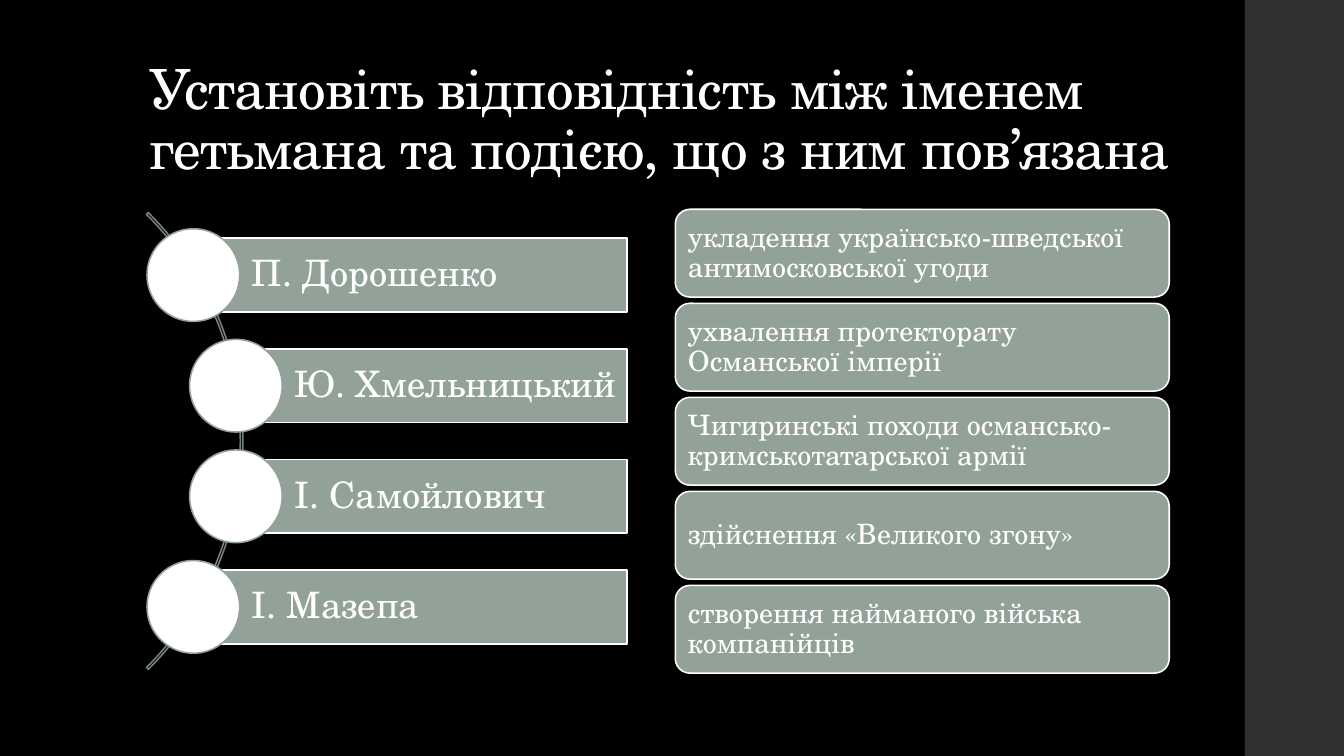
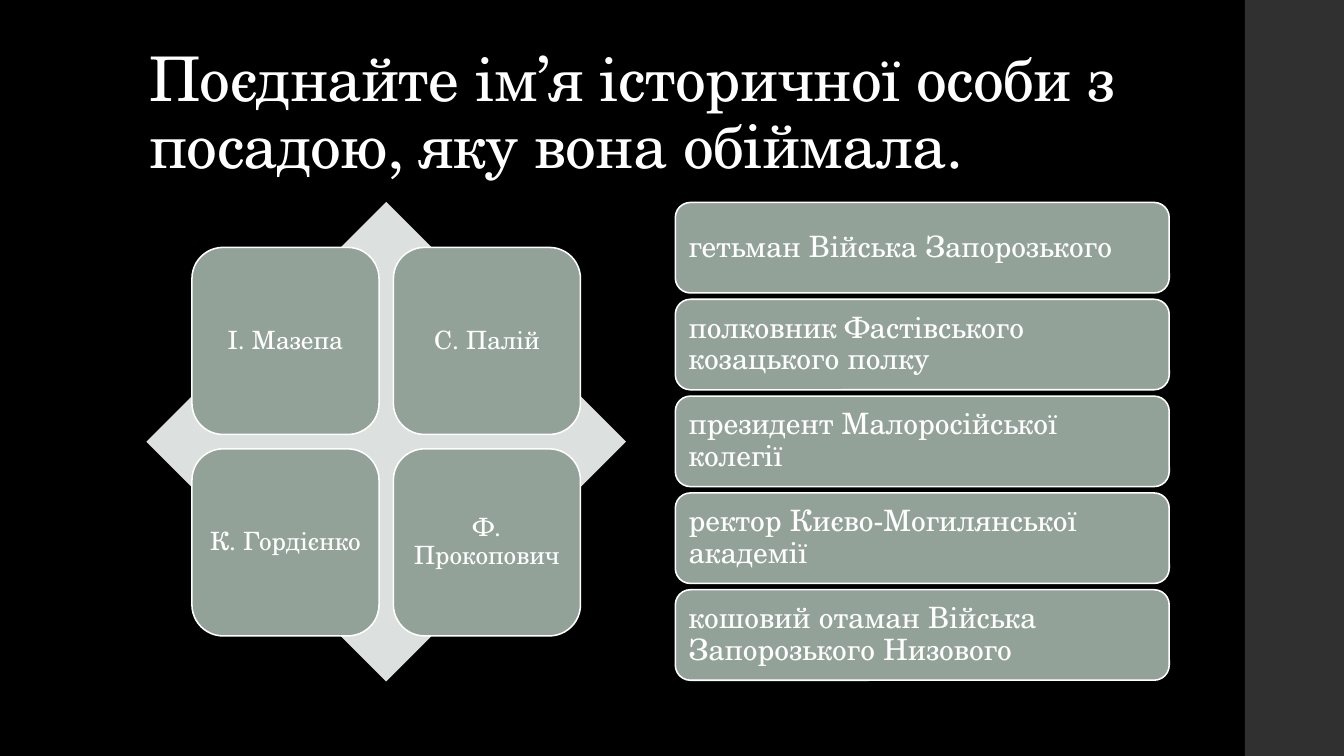
from dataclasses import dataclass
from typing import NamedTuple

from pptx import Presentation
from pptx.dml.color import RGBColor
from pptx.enum.shapes import MSO_SHAPE
from pptx.enum.text import MSO_ANCHOR, MSO_AUTO_SIZE, PP_ALIGN
from pptx.util import Pt


class Box(NamedTuple):
    """A rectangle in points."""
    left: float
    top: float
    width: float
    height: float


@dataclass(frozen=True)
class Theme:
    """Colours, type and line sizes shared by the slides."""
    background: str = "000000"
    band: str = "303030"
    card: str = "93A299"
    arc: str = "76827B"
    diamond: str = "DCE0DE"
    light: str = "FFFFFF"
    font: str = "TeX Gyre Schola"
    outline: float = 1.1
    name_size: float = 26
    tile_size: float = 18
    line_spacing: float = 0.9
    title_tracking: int = -50


THEME = Theme()
SLIDE = Box(0, 0, 960, 540)
TITLE = Box(99.4, 28.8, 763.2, 104.4)
BAND = Box(889.2, 0, 70.8, 540)


def apply(target, formats):
    """Set every attribute listed in a dict of format values."""
    for attribute, value in formats.items():
        setattr(target, attribute, value)


def place(target, box):
    """Move and size an object to a box in points."""
    apply(target, {side: Pt(value) for side, value in box._asdict().items()})


def colour(code):
    """Turn a hex code into a colour."""
    return RGBColor.from_string(code)


def draw(slide, preset, box, fill=None, outline=None):
    """Draw a flat preset shape."""
    shape = slide.shapes.add_shape(preset, *map(Pt, box))
    shape.shadow.inherit = False
    if fill:
        shape.fill.solid()
        shape.fill.fore_color.rgb = colour(fill)
    else:
        shape.fill.background()
    if outline:
        shape.line.color.rgb = colour(outline)
        shape.line.width = Pt(THEME.outline)
    else:
        shape.line.fill.background()
    return shape


def write(shape, text, size, align=PP_ALIGN.LEFT, anchor=MSO_ANCHOR.MIDDLE, insets=None):
    """Write one formatted paragraph into a shape and return its run."""
    frame = shape.text_frame
    margins = {f"margin_{side}": Pt(value) for side, value in (insets or {}).items()}
    apply(frame, {"word_wrap": True, "auto_size": MSO_AUTO_SIZE.NONE,
                  "vertical_anchor": anchor, **margins})
    paragraph = frame.paragraphs[0]
    apply(paragraph, {"alignment": align, "line_spacing": THEME.line_spacing})
    run = paragraph.add_run()
    run.text = text
    apply(run.font, {"name": THEME.font, "size": Pt(size)})
    run.font.color.rgb = colour(THEME.light)
    return run


def even_insets(value):
    """Give all four sides the same inset."""
    return dict.fromkeys(("left", "top", "right", "bottom"), value)


def prepare_master(presentation, slide):
    """Put the background and the side band on the slide master."""
    master = presentation.slide_master
    master.background.fill.solid()
    master.background.fill.fore_color.rgb = colour(THEME.background)
    band = draw(slide, MSO_SHAPE.RECTANGLE, BAND, THEME.band).element
    band.nvSpPr.cNvPr.set("id", "100")
    master.element.cSld.spTree.insert(2, band)


def add_title(slide, text, size):
    """Fill the title placeholder."""
    title = slide.shapes.title
    place(title, TITLE)
    run = write(title, text, size, anchor=MSO_ANCHOR.BOTTOM)
    run.font._element.set("spc", str(THEME.title_tracking))


def add_hetman_arc(slide, box, hetmans):
    """Draw names on bars whose circles follow an arc."""
    arc_size, circle, bar_height, indent = 461.5, 66.2, 52.7, 30.4
    pitch = (box.height - circle) / (len(hetmans) - 1)
    arc = draw(slide, MSO_SHAPE.BLOCK_ARC,
               Box(box.left - 393, box.top + (box.height - arc_size) / 2, arc_size, arc_size),
               outline=THEME.arc)
    for index, value in enumerate((189, 27, 0.004)):
        arc.adjustments[index] = value
    for row, hetman in enumerate(hetmans):
        inner = 0 < row < len(hetmans) - 1
        left = box.left + (indent if inner else 0)
        top = box.top + row * pitch
        bar_left = left + circle / 2
        bar = draw(slide, MSO_SHAPE.RECTANGLE,
                   Box(bar_left, top + (circle - bar_height) / 2,
                       box.left + box.width - bar_left, bar_height),
                   THEME.card, THEME.light)
        write(bar, hetman, THEME.name_size, insets={**even_insets(5), "left": 41.8})
        draw(slide, MSO_SHAPE.OVAL, Box(left, top, circle, circle), THEME.light, THEME.card)


def add_person_diamond(slide, box, persons):
    """Draw a two by two grid of names over a diamond."""
    draw(slide, MSO_SHAPE.DIAMOND, box, THEME.diamond)
    tile, margin = box.width * 0.39, box.width * 0.095
    pitch = box.width - 2 * margin - tile
    for index, person in enumerate(persons):
        row, column = divmod(index, 2)
        card = draw(slide, MSO_SHAPE.ROUNDED_RECTANGLE,
                    Box(box.left + margin + column * pitch,
                        box.top + margin + row * pitch, tile, tile),
                    THEME.card, THEME.light)
        write(card, person, THEME.tile_size, PP_ALIGN.CENTER, insets=even_insets(5))


def add_answers(slide, box, answers, size):
    """Stack rounded answer cards with equal gaps."""
    gap = 4.5
    height = (box.height - gap * (len(answers) - 1)) / len(answers)
    for row, answer in enumerate(answers):
        card = draw(slide, MSO_SHAPE.ROUNDED_RECTANGLE,
                    Box(box.left, box.top + row * (height + gap), box.width, height),
                    THEME.card, THEME.light)
        write(card, answer, size, insets=even_insets(size * 0.3))


def build_hetmans(slide):
    """Build the slide matching hetmans with events."""
    add_title(slide, "Установіть відповідність між іменем гетьмана та подією, "
                     "що з ним пов’язана", 39.6)
    add_hetman_arc(slide, Box(105, 163.4, 342.8, 303.2),
                   ("П. Дорошенко", "Ю. Хмельницький", "І. Самойлович", "І. Мазепа"))
    add_answers(slide, Box(482.4, 149.5, 352.8, 331.3),
                ("укладення українсько-шведської антимосковської угоди",
                 "ухвалення протекторату Османської імперії",
                 "Чигиринські походи османсько-кримськотатарської армії",
                 "здійснення «Великого згону»",
                 "створення найманого війська компанійців"), 20)


def build_positions(slide):
    """Build the slide matching persons with positions."""
    add_title(slide, "Поєднайте ім’я історичної особи з посадою, яку вона обіймала.", 44)
    add_person_diamond(slide, Box(104.6, 144.2, 342.6, 342.6),
                       ("І. Мазепа", "С. Палій", "К. Гордієнко", "Ф. Прокопович"))
    add_answers(slide, Box(482.4, 144.6, 352.8, 341.3),
                ("гетьман Війська Запорозького",
                 "полковник Фастівського козацького полку",
                 "президент Малоросійської колегії",
                 "ректор Києво-Могилянської академії",
                 "кошовий отаман Війська Запорозького Низового"), 21)


def main():
    """Build and save the presentation."""
    presentation = Presentation()
    apply(presentation, {"slide_width": Pt(SLIDE.width), "slide_height": Pt(SLIDE.height)})
    title_only = presentation.slide_layouts[5]
    slides = [presentation.slides.add_slide(title_only) for _ in range(2)]
    prepare_master(presentation, slides[0])
    for build, slide in zip((build_hetmans, build_positions), slides):
        build(slide)
    presentation.save("out.pptx")


if __name__ == "__main__":
    main()
